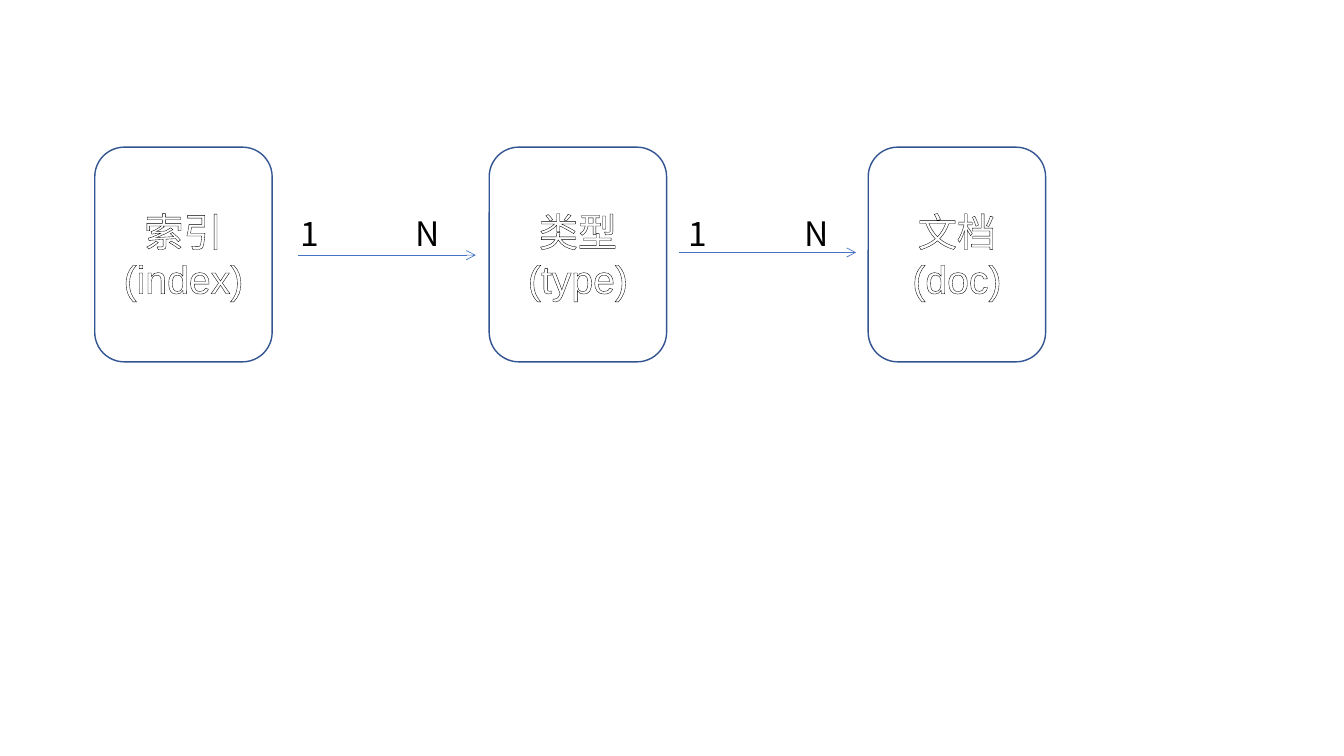
from dataclasses import dataclass

from lxml import etree
from pptx import Presentation
from pptx.dml.color import RGBColor
from pptx.enum.shapes import MSO_CONNECTOR, MSO_SHAPE
from pptx.enum.text import MSO_ANCHOR, PP_ALIGN
from pptx.oxml.ns import qn
from pptx.util import Emu, Inches, Pt

ROUNDED = MSO_SHAPE.ROUNDED_RECTANGLE
STRAIGHT = MSO_CONNECTOR.STRAIGHT
MIDDLE = MSO_ANCHOR.MIDDLE
CENTER = PP_ALIGN.CENTER

WIDTH, HEIGHT = Inches(13.33), Inches(7.5)
CJK_FONT = "Noto Sans CJK SC"
WHITE, BLACK, BORDER, ARROW = "FFFFFF", "000000", "325491", "4472C4"

# Lengths are percentages of the slide's width (x) or height (y).
BOX_TOP, BOX_W, BOX_H = 19.47, 13.2, 28.4
LABEL_TOP, LABEL_W, LABEL_H = 27.47, 13.73, 6.67
N_TAB = 8.6


@dataclass
class Entity:
    """A storage level, with its left edge."""
    left: float
    name: str
    term: str


@dataclass
class Relation:
    """A one-to-many arrow and the left edge of its label."""
    left: float
    y: float
    label_left: float


ENTITIES = [
    Entity(7.05, "索引", "(index)"),
    Entity(36.4, "类型", "(type)"),
    Entity(64.6, "文档", "(doc)"),
]
RELATIONS = [Relation(22.2, 33.75, 21.6), Relation(50.5, 33.4, 50.5)]


def x(share: float) -> Emu:
    """Turn a share of the slide's width into a length."""
    return Emu(round(WIDTH * share / 100))


def y(share: float) -> Emu:
    """Turn a share of the slide's height into a length."""
    return Emu(round(HEIGHT * share / 100))


def rgb(code: str) -> RGBColor:
    """Read a hex colour."""
    return RGBColor.from_string(code)


def format_run(r, size: float, font: str, color: str) -> None:
    """Set size, colour, and the Latin and East Asian fonts of a run."""
    r.font.size = Pt(size)
    r.font.color.rgb = rgb(color)
    r.font.name = font
    ea = etree.Element(qn("a:ea"), typeface=CJK_FONT)
    r.font._element.find(qn("a:latin")).addnext(ea)


def outline_run(r, color: str, width: float) -> None:
    """Draw a line round the letters of a run."""
    ln = etree.Element(qn("a:ln"), w=str(Pt(width)))
    fill = etree.SubElement(ln, qn("a:solidFill"))
    etree.SubElement(fill, qn("a:srgbClr"), val=color)
    r.font._element.insert(0, ln)


def add_entity(s, entity: Entity) -> None:
    """Add a rounded box with outlined lettering."""
    sp = s.shapes.add_shape(ROUNDED, x(entity.left), y(BOX_TOP), x(BOX_W), y(BOX_H))
    sp.shadow.inherit = False
    sp.fill.solid()
    sp.fill.fore_color.rgb = rgb(WHITE)
    sp.line.color.rgb = rgb(BORDER)
    sp.line.width = Pt(1)
    tf = sp.text_frame
    tf.word_wrap = True
    tf.vertical_anchor = MIDDLE
    tf.text = f"{entity.name}\n{entity.term}"
    for p in tf.paragraphs:
        p.alignment = CENTER
        for r in p.runs:
            format_run(r, 28, "Arial", WHITE)
            outline_run(r, BLACK, 0.75)


def add_arrow(s, relation: Relation) -> None:
    """Add a thin arrow as long as a box is wide."""
    level = y(relation.y)
    line = s.shapes.add_connector(
        STRAIGHT, x(relation.left), level, x(relation.left + BOX_W), level)
    line.line.color.rgb = rgb(ARROW)
    line.line.width = Pt(0.5)
    etree.SubElement(line.line._get_or_add_ln(), qn("a:tailEnd"), type="arrow")
    etree.SubElement(line._element.spPr, qn("a:effectLst"))


def add_label(s, relation: Relation) -> None:
    """Add the two ends of a relation, parted by a tab stop."""
    box = s.shapes.add_textbox(
        x(relation.label_left), y(LABEL_TOP), x(LABEL_W), y(LABEL_H))
    tf = box.text_frame
    tf.word_wrap = True
    p = tf.paragraphs[0]
    p.text = "1\tN"
    tabs = etree.SubElement(p._p.get_or_add_pPr(), qn("a:tabLst"))
    etree.SubElement(tabs, qn("a:tab"), pos=str(x(N_TAB)), algn="l")
    for r in p.runs:
        format_run(r, 24, CJK_FONT, BLACK)


def main() -> None:
    """Build and save the slide."""
    prs = Presentation()
    prs.slide_width, prs.slide_height = WIDTH, HEIGHT
    s = prs.slides.add_slide(prs.slide_layouts[6])
    for entity in ENTITIES:
        add_entity(s, entity)
    for relation in RELATIONS:
        add_arrow(s, relation)
        add_label(s, relation)
    prs.save("out.pptx")


main()
